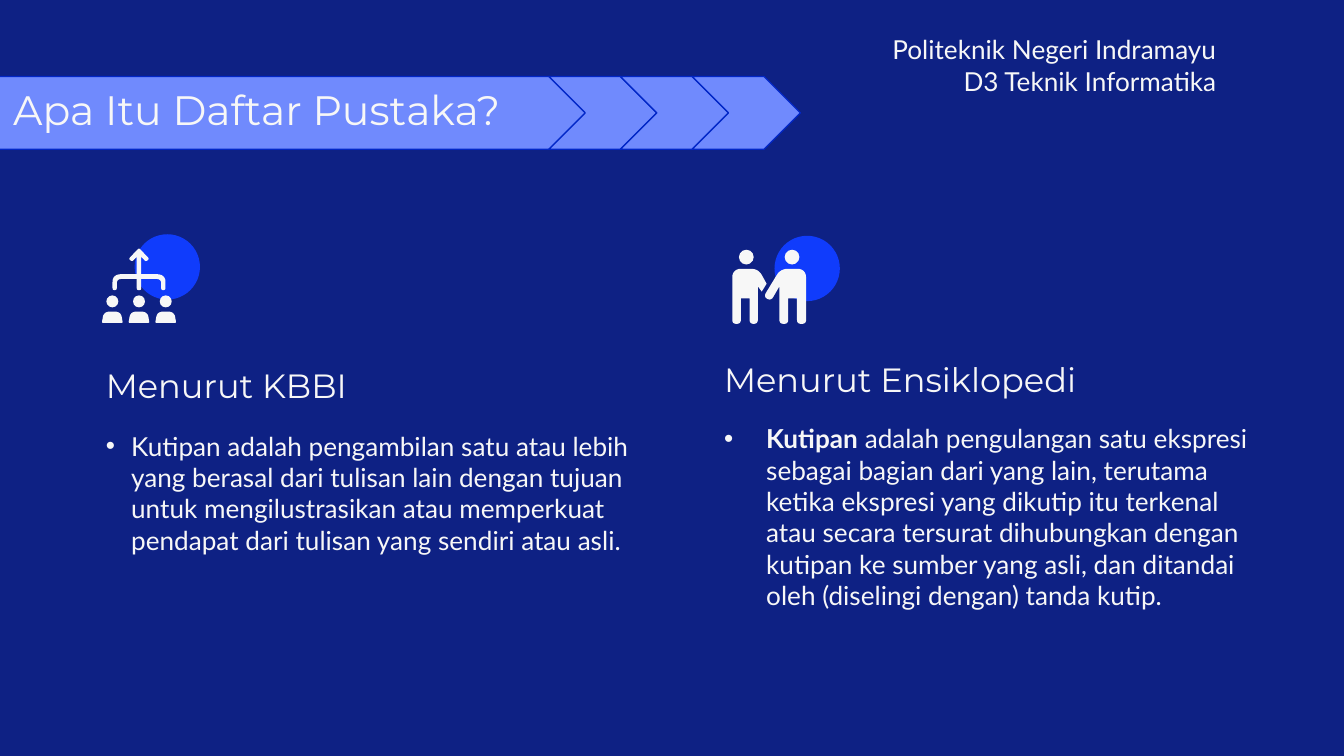
from math import dist

from lxml.etree import SubElement
from pptx import Presentation
from pptx.dml.color import RGBColor
from pptx.enum.shapes import MSO_SHAPE as Preset
from pptx.enum.text import MSO_ANCHOR as Anchor, PP_ALIGN as Align
from pptx.oxml import parse_xml
from pptx.oxml.ns import nsdecls, qn
from pptx.util import Pt

COLORS = {
    "background": "0E2184",
    "arrow": "708AFD",
    "arrow_line": "0227C7",
    "dot": "103CFC",
    "light": "F7F7F7",
    "shadow": "000000",
}


def mirror(half):
    return half + [(-x, y, radius) for x, y, radius in reversed(half) if x]


def round_corners(corners, steps=6):
    points = []
    for index, (x, y, radius) in enumerate(corners):
        if not radius:
            points.append((x, y))
            continue
        ends = []
        for neighbour in (corners[index - 1], corners[(index + 1) % len(corners)]):
            length = dist((x, y), neighbour[:2])
            share = min(radius / length, 0.5)
            ends.append((x + (neighbour[0] - x) * share, y + (neighbour[1] - y) * share))
        (x1, y1), (x2, y2) = ends
        for step in range(steps + 1):
            t = step / steps
            a, b, c = (1 - t) ** 2, 2 * t * (1 - t), t**2
            points.append((a * x1 + b * x + c * x2, a * y1 + b * y + c * y2))
    return points


class SlideBuilder:
    """Draws styled elements on the current slide."""

    heading_font = "Montserrat"
    body_font = "Lato"
    inset = 7.2

    def __init__(self, slide):
        self.slide = slide
        fill = slide.background.fill
        fill.solid()
        fill.fore_color.rgb = self.color("background")

    def color(self, name):
        return RGBColor.from_string(COLORS[name])

    def paint(self, shape, fill, line=None):
        shape.shadow.inherit = False
        shape.fill.solid()
        shape.fill.fore_color.rgb = self.color(fill)
        if line:
            shape.line.color.rgb = self.color(line)
            shape.line.width = Pt(0.75)
        else:
            shape.line.fill.background()

    def preset(self, kind, left, top, width, height, fill, line=None):
        shape = self.slide.shapes.add_shape(kind, Pt(left), Pt(top), Pt(width), Pt(height))
        self.paint(shape, fill, line)

    def circle(self, center_x, top, size, fill="light"):
        self.preset(Preset.OVAL, center_x - size / 2, top, size, size, fill)

    def outline(self, left, top, corners):
        points = [(Pt(left + x), Pt(top + y)) for x, y in round_corners(corners)]
        builder = self.slide.shapes.build_freeform(*points[0], scale=1.0)
        builder.add_line_segments(points[1:], close=True)
        self.paint(builder.convert_to_shape(), "light")

    def bullet(self, paragraph, indent):
        properties = paragraph._p.get_or_add_pPr()
        properties.set("marL", str(Pt(indent)))
        properties.set("indent", str(-Pt(indent)))
        color = SubElement(properties, qn("a:buClr"))
        SubElement(color, qn("a:srgbClr"), val=COLORS["light"])
        SubElement(properties, qn("a:buFont"), typeface="Arial")
        SubElement(properties, qn("a:buChar"), char="•")

    def text_shadow(self, run):
        effect = parse_xml(
            f'<a:effectLst {nsdecls("a")}><a:outerShdw blurRad="38100" dist="38100" '
            f'dir="2700000" algn="tl"><a:srgbClr val="{COLORS["shadow"]}">'
            '<a:alpha val="43000"/></a:srgbClr></a:outerShdw></a:effectLst>'
        )
        run.font._element.find(qn("a:solidFill")).addnext(effect)

    def text(self, box, paragraphs, size, font=body_font, anchor=Anchor.TOP,
             align=Align.LEFT, indent=0, shadow=False):
        frame = self.slide.shapes.add_textbox(*map(Pt, box)).text_frame
        frame_format = {"word_wrap": True, "vertical_anchor": anchor}
        for side in ("left", "top", "right", "bottom"):
            frame_format[f"margin_{side}"] = Pt(self.inset)
        for name, value in frame_format.items():
            setattr(frame, name, value)
        for index, runs in enumerate(paragraphs):
            paragraph = frame.add_paragraph() if index else frame.paragraphs[0]
            paragraph.alignment = align
            if indent:
                self.bullet(paragraph, indent)
            for content, bold in runs:
                run = paragraph.add_run()
                run.text = content
                for name, value in {"size": Pt(size), "name": font, "bold": bold}.items():
                    setattr(run.font, name, value)
                run.font.color.rgb = self.color("light")
                if shadow:
                    self.text_shadow(run)

    def heading(self, box, content, size, anchor=Anchor.TOP):
        self.text(box, [[(content, False)]], size, self.heading_font, anchor, shadow=True)

    def title_arrow(self):
        colors = ("arrow", "arrow_line")
        self.preset(Preset.PENTAGON, -1.4, 41, 315.4, 39, *colors)
        for index in range(3):
            self.preset(Preset.CHEVRON, 294 + 38.4 * index, 41, 58, 39, *colors)

    def team_icon(self):
        center = 74.5
        self.circle(89.6, 125.5, 35, "dot")
        branch = [(0, -0.3, 1), (5.6, 5.6, 1.2), (3.6, 7, 1), (1.2, 4.4, 0), (1.2, 13.7, 0),
                  (14.2, 13.7, 5), (14.2, 22.3, 1.2), (11.9, 22.3, 1.2), (11.9, 16.3, 2.5),
                  (1.2, 16.3, 0), (1.2, 22.3, 1.1)]
        self.outline(center, 133.2, mirror(branch))
        for offset in (-14.3, 0, 14.3):
            self.circle(center + offset, 158.3, 6.4)
            self.outline(center + offset, 167, mirror([(4.6, 0, 3.3), (5.6, 6, 0.7)]))

    def pair_icon(self):
        self.circle(432.4, 126.3, 35, "dot")
        self.circle(399.8, 133.8, 7.9)
        self.circle(424.3, 133.8, 7.9)
        waist, foot, toe = 15.8, 29.5, 2.2
        self.outline(392.3, 144, [
            (0, 0, 5), (14, 0, 4), (18.4, 8, 0), (15.8, 12.2, 0), (13.7, 9.4, 0),
            (13.7, foot, toe), (9.3, foot, toe), (9.3, waist, 0), (4.6, waist, 0),
            (4.6, foot, toe), (0, foot, toe)])
        self.outline(409.7, 144, [
            (8.5, 0, 4), (-0.6, 15, 2.5), (3.4, 17.2, 2.5), (7.9, 9.4, 0),
            (7.9, foot, toe), (12.6, foot, toe), (12.6, waist, 0), (17.3, waist, 0),
            (17.3, foot, toe), (22.2, foot, toe), (22.2, 0, 5)])


def main():
    presentation = Presentation()
    presentation.slide_width, presentation.slide_height = Pt(720), Pt(405)
    builder = SlideBuilder(presentation.slides.add_slide(presentation.slide_layouts[6]))

    builder.title_arrow()
    builder.heading((0, 38.2, 341, 46.8), "Apa Itu Daftar Pustaka?", 22)
    builder.text(
        (421.2, 11.5, 237.6, 46.8),
        [[("Politeknik Negeri Indramayu", False)], [("D3 Teknik Informatika", False)]],
        14, anchor=Anchor.MIDDLE, align=Align.RIGHT)

    builder.team_icon()
    builder.heading((49.7, 182.2, 227.5, 41.8), "Menurut KBBI", 18, Anchor.BOTTOM)
    builder.text(
        (49.7, 223.2, 297.4, 80.6),
        [[("Kutipan adalah pengambilan satu atau lebih yang berasal dari tulisan lain "
           "dengan tujuan untuk mengilustrasikan atau memperkuat pendapat dari tulisan "
           "yang sendiri atau asli.", False)]],
        14, indent=13.5)

    builder.pair_icon()
    builder.heading((380.9, 179.5, 307.4, 41.8), "Menurut Ensiklopedi", 18, Anchor.BOTTOM)
    builder.text(
        (380.9, 219.2, 307.4, 101.5),
        [[("Kutipan", True),
          (" adalah pengulangan satu ekspresi sebagai bagian dari yang lain, terutama "
           "ketika ekspresi yang dikutip itu terkenal atau secara tersurat dihubungkan "
           "dengan kutipan ke sumber yang asli, dan ditandai oleh (diselingi dengan) "
           "tanda kutip.", False)]],
        14, indent=22.5)

    presentation.save("out.pptx")


if __name__ == "__main__":
    main()
